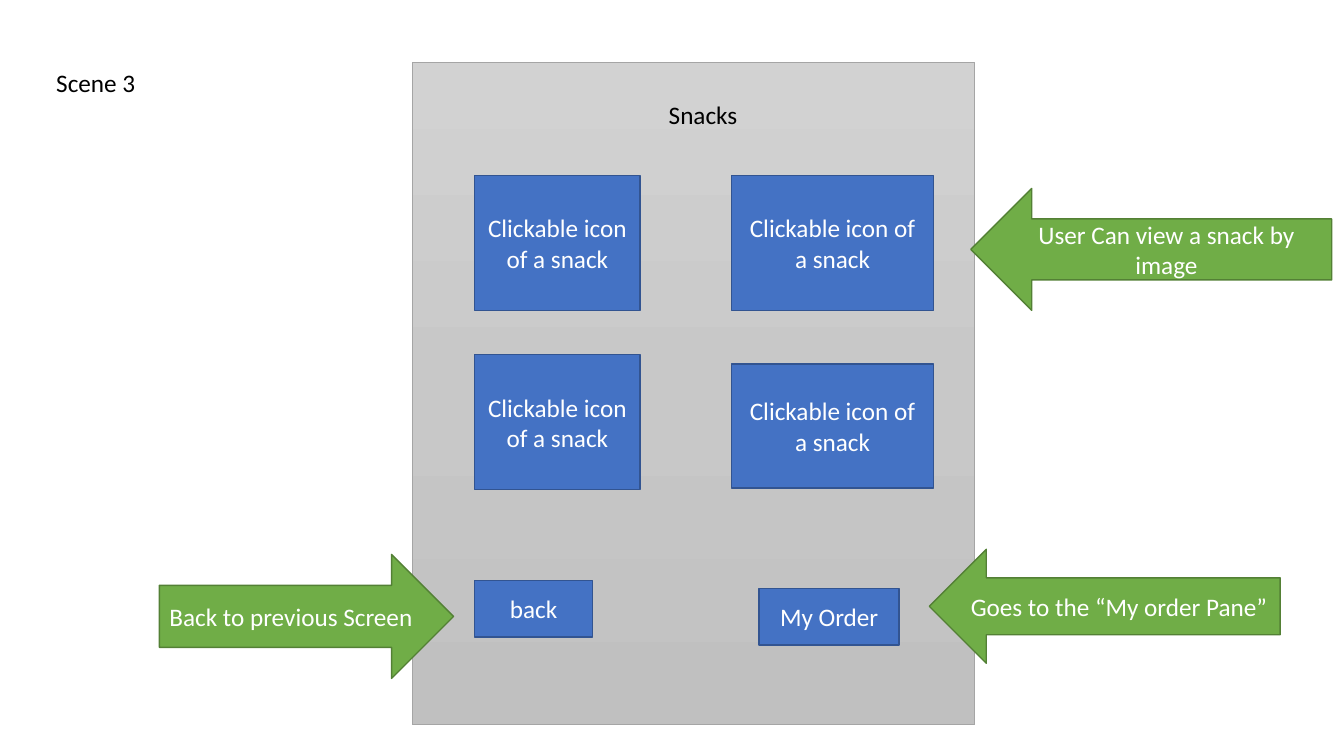
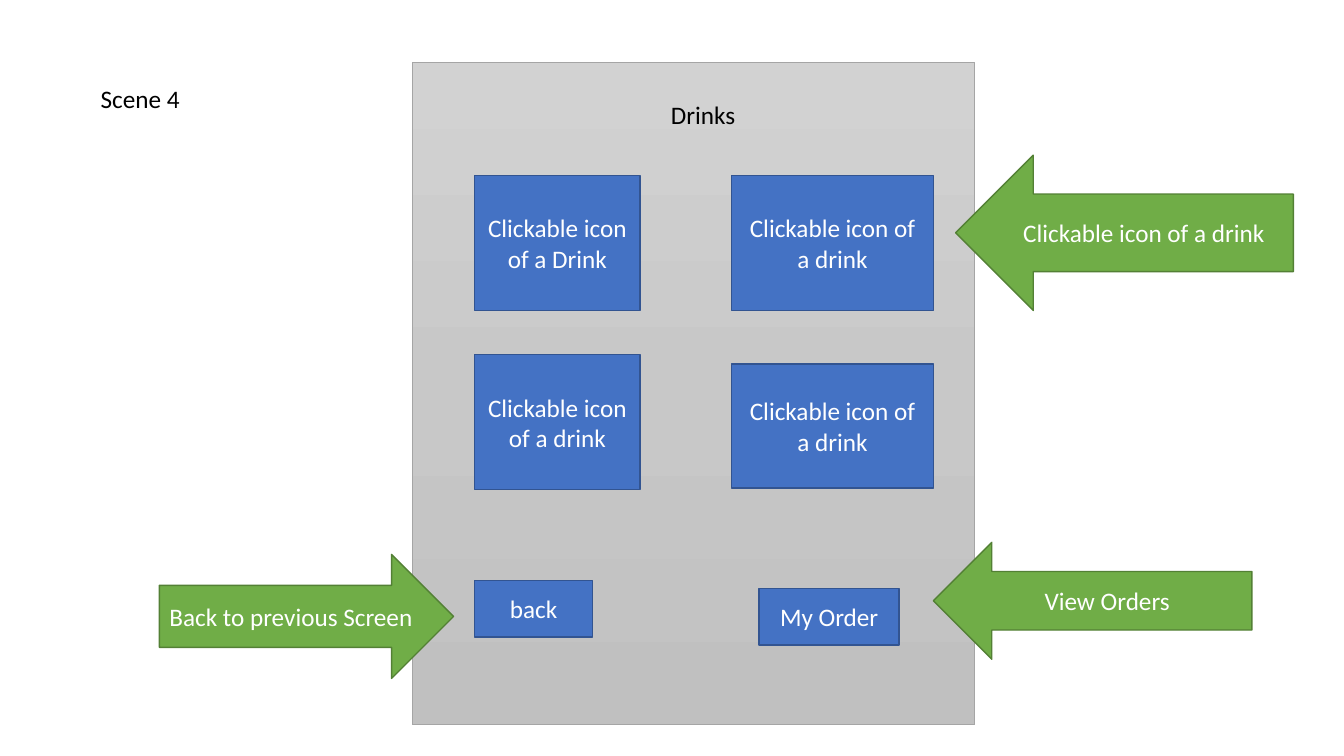
"""Build the snack and drink screens of an ordering app storyboard."""
from copy import deepcopy
from dataclasses import dataclass

from pptx import Presentation
from pptx.dml.color import RGBColor
from pptx.enum.shapes import MSO_SHAPE
from pptx.enum.text import MSO_ANCHOR, MSO_AUTO_SIZE, PP_ALIGN
from pptx.oxml.ns import qn
from pptx.shapes.autoshape import Shape
from pptx.slide import Slide
from pptx.util import Pt

FONT = "Calibri"
TEXT_SIZE = 18
BLACK, WHITE = "000000", "FFFFFF"
BLUE, BLUE_EDGE = "4472C4", "325491"
GREEN, GREEN_EDGE = "70AD47", "538035"
PANEL_STOPS = ("D2D2D2", "C8C8C8", "C0C0C0")
PANEL_EDGE = "A5A5A5"


@dataclass(frozen=True)
class Area:
    left: float
    top: float
    width: float
    height: float


@dataclass(frozen=True)
class Callout:
    text: str
    area: Area
    kind: MSO_SHAPE = MSO_SHAPE.LEFT_ARROW


@dataclass(frozen=True)
class Scene:
    label: str
    label_area: Area
    heading: str
    icons: tuple[str, ...]
    callouts: tuple[Callout, ...]


LABEL_HEIGHT = 29.1
PANEL = Area(294.5, 44.6, 401.8, 473)
HEADING = Area(372.2, 67.7, 260, LABEL_HEIGHT)
LEFT_EDGE, RIGHT_EDGE = 339.1, 522.7
ICON_AREAS = (
    Area(LEFT_EDGE, 125.3, 118.1, 96.5),
    Area(RIGHT_EDGE, 125.3, 144, 96.5),
    Area(LEFT_EDGE, 253.4, 118.1, 96.5),
    Area(RIGHT_EDGE, 259.9, 144, 88.6),
)
BUTTONS = (
    ("back", Area(LEFT_EDGE, 414.7, 84.2, 40.3)),
    ("My Order", Area(542.2, 420.5, 100.1, 40.3)),
)
BACK_CALLOUT = Callout(
    "Back to previous Screen", Area(113.8, 396, 210.2, 88.6), MSO_SHAPE.RIGHT_ARROW
)
SCENES = (
    Scene(
        "Scene 3",
        Area(33.1, 44.6, 196.6, LABEL_HEIGHT),
        "Snacks",
        ("Clickable icon of a snack",) * 4,
        (
            Callout("User Can view a snack by image", Area(693.4, 134.6, 257.8, 87.1)),
            Callout("Goes to the “My order Pane”", Area(663.8, 392.4, 250.6, 81.4)),
        ),
    ),
    Scene(
        "Scene 4",
        Area(64.8, 56.2, 164.9, LABEL_HEIGHT),
        "Drinks",
        ("Clickable icon of a Drink",) + ("Clickable icon of a drink",) * 3,
        (
            Callout("Clickable icon of a drink", Area(682.6, 110.9, 241.2, 110.9)),
            Callout("View Orders", Area(666.7, 387.4, 227.5, 83.5)),
        ),
    ),
)


def color(value: str) -> RGBColor:
    """Turn a hex string into a colour."""
    return RGBColor.from_string(value)


def place(area: Area) -> tuple[Pt, Pt, Pt, Pt]:
    """Give an area as lengths."""
    return Pt(area.left), Pt(area.top), Pt(area.width), Pt(area.height)


def write(box: Shape, text: str, ink: str, align: PP_ALIGN) -> None:
    """Write one wrapped paragraph into a box."""
    box.text_frame.word_wrap = True
    para = box.text_frame.paragraphs[0]
    para.alignment = align
    span = para.add_run()
    span.text = text
    span.font.name = FONT
    span.font.size = Pt(TEXT_SIZE)
    span.font.color.rgb = color(ink)


def add_label(page: Slide, text: str, area: Area, align: PP_ALIGN) -> None:
    """Add black text that stands alone."""
    box = page.shapes.add_textbox(*place(area))
    write(box, text, BLACK, align)
    box.text_frame.auto_size = MSO_AUTO_SIZE.SHAPE_TO_FIT_TEXT


def add_outlined(
    page: Slide, kind: MSO_SHAPE, area: Area, edge: str, weight: float
) -> Shape:
    """Add a flat preset shape with a thin outline."""
    shape = page.shapes.add_shape(kind, *place(area))
    shape.shadow.inherit = False
    shape.line.color.rgb = color(edge)
    shape.line.width = Pt(weight)
    return shape


def add_filled(
    page: Slide, kind: MSO_SHAPE, area: Area, text: str, fill: str, edge: str
) -> None:
    """Add a filled shape with centred white text."""
    shape = add_outlined(page, kind, area, edge, 1)
    shape.fill.solid()
    shape.fill.fore_color.rgb = color(fill)
    shape.text_frame.vertical_anchor = MSO_ANCHOR.MIDDLE
    write(shape, text, WHITE, PP_ALIGN.CENTER)


def add_panel(page: Slide) -> None:
    """Add the grey app screen, shaded from top to bottom."""
    panel = add_outlined(page, MSO_SHAPE.RECTANGLE, PANEL, PANEL_EDGE, 0.5)
    panel.fill.gradient()
    panel.fill.gradient_angle = 270
    stop_list = next(panel.element.iter(qn("a:gsLst")))
    stop_list.insert(1, deepcopy(stop_list[0]))
    for index, (stop, shade) in enumerate(zip(panel.fill.gradient_stops, PANEL_STOPS)):
        stop.position = index / (len(PANEL_STOPS) - 1)
        stop.color.rgb = color(shade)


def add_scene(page: Slide, scene: Scene) -> None:
    """Draw one screen with its icons, buttons and callouts."""
    add_panel(page)
    add_label(page, scene.heading, HEADING, PP_ALIGN.CENTER)
    for text, area in (*zip(scene.icons, ICON_AREAS), *BUTTONS):
        add_filled(page, MSO_SHAPE.RECTANGLE, area, text, BLUE, BLUE_EDGE)
    for callout in (*scene.callouts, BACK_CALLOUT):
        add_filled(page, callout.kind, callout.area, callout.text, GREEN, GREEN_EDGE)
    add_label(page, scene.label, scene.label_area, PP_ALIGN.LEFT)


def main() -> None:
    """Build and save the deck."""
    deck = Presentation()
    deck.slide_width, deck.slide_height = Pt(960), Pt(540)
    for scene in SCENES:
        add_scene(deck.slides.add_slide(deck.slide_layouts[6]), scene)
    deck.save("out.pptx")


main()
